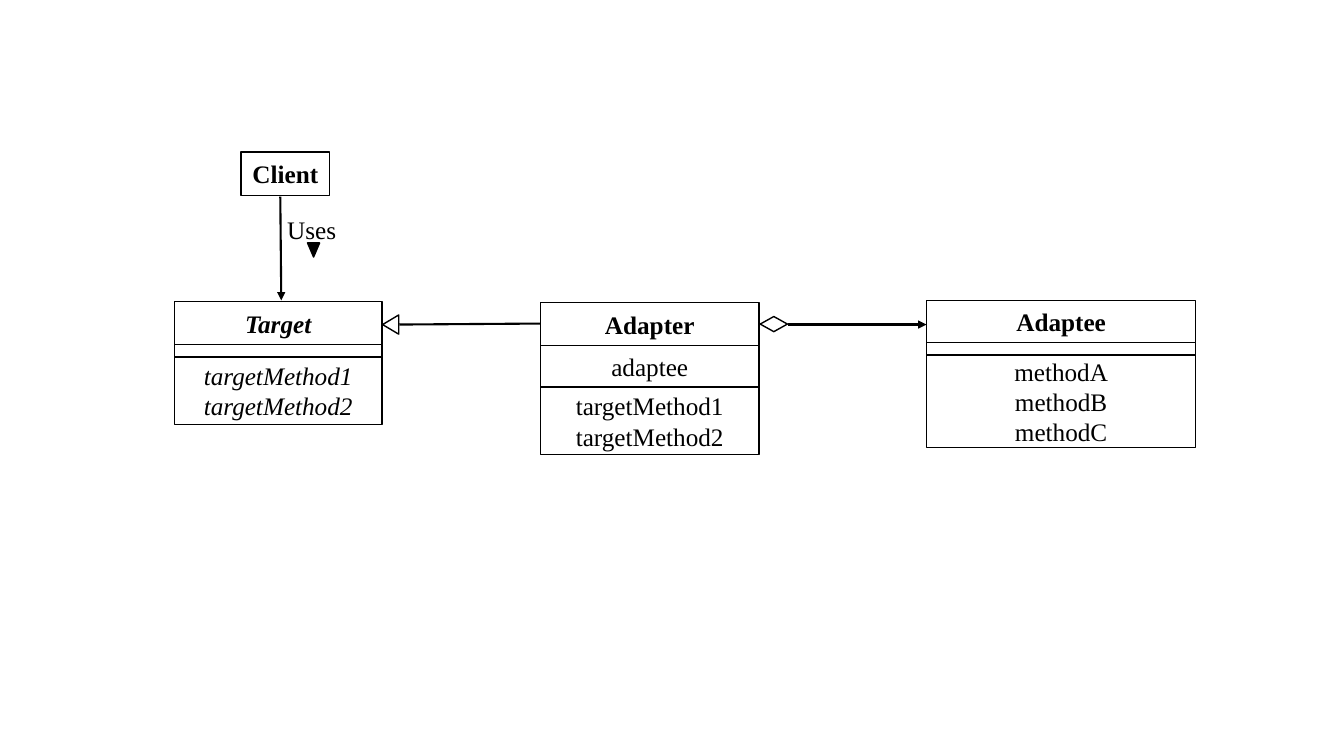
from dataclasses import dataclass
from lxml.etree import SubElement
from pptx import Presentation
from pptx.dml.color import RGBColor as Rgb
from pptx.enum.shapes import MSO_CONNECTOR as Link, MSO_SHAPE as Kind
from pptx.enum.text import MSO_ANCHOR as Anchor, PP_ALIGN as Align
from pptx.oxml.ns import qn
from pptx.util import Inches, Pt

INK = {"black": "000000", "white": "FFFFFF"}
FONT = "Times New Roman"


@dataclass
class Row:
    high: float
    text: str = ""
    bold: bool = False
    slant: bool = False


@dataclass
class Box:
    left: float
    top: float
    wide: float
    rows: list[Row]


@dataclass
class Mark:
    kind: Kind
    left: float
    top: float
    wide: float
    high: float
    turn: int
    fill: str


@dataclass
class Line:
    start: tuple[float, float]
    end: tuple[float, float]
    arrow: bool = False


BOXES = [
    Box(2.39, 1.51, 0.88, [Row(0.43, "Client", bold=True)]),
    Box(1.73, 2.99, 2.06, [
        Row(0.43, "Target", bold=True, slant=True),
        Row(0.12),
        Row(0.67, "targetMethod1\ntargetMethod2", slant=True)]),
    Box(5.36, 3, 2.17, [
        Row(0.43, "Adapter", bold=True),
        Row(0.41, "adaptee"),
        Row(0.67, "targetMethod1\ntargetMethod2")]),
    Box(9.19, 2.98, 2.67, [
        Row(0.42, "Adaptee", bold=True),
        Row(0.12),
        Row(0.92, "methodA\nmethodB\nmethodC")]),
]
MARKS = [
    Mark(Kind.ISOSCELES_TRIANGLE, 3.78, 3.14, 0.19, 0.16, 270, "white"),
    Mark(Kind.ISOSCELES_TRIANGLE, 3.05, 2.41, 0.12, 0.14, 180, "black"),
    Mark(Kind.DIAMOND, 7.6, 3.08, 0.15, 0.27, 90, "white"),
]
LINES = [
    Line((3.96, 3.22), (5.36, 3.21)),
    Line((2.78, 1.95), (2.79, 2.98), arrow=True),
    Line((7.82, 3.22), (9.19, 3.22), arrow=True),
]


def tint(name: str) -> Rgb:
    return Rgb.from_string(INK[name])


def write(shape, text: str, *, bold=False, slant=False,
          align=Align.CENTER, anchor=Anchor.MIDDLE, size=18) -> None:
    frame = shape.text_frame
    frame.word_wrap = True
    frame.vertical_anchor = anchor
    frame.text = text
    for para in frame.paragraphs:
        para.alignment = align
        for run in para.runs:
            font = run.font
            font.name, font.size = FONT, Pt(size)
            font.bold, font.italic = bold, slant
            font.color.rgb = tint("black")


def draw(slide, kind: Kind, left: float, top: float, wide: float,
         high: float, fill: str = "white"):
    shape = slide.shapes.add_shape(
        kind, Inches(left), Inches(top), Inches(wide), Inches(high))
    shape.shadow.inherit = False
    shape.fill.solid()
    shape.fill.fore_color.rgb = tint(fill)
    shape.line.color.rgb = tint("black")
    shape.line.width = Pt(1)
    return shape


def stack(slide, box: Box) -> None:
    top = box.top
    for row in box.rows:
        shape = draw(slide, Kind.RECTANGLE, box.left, top, box.wide, row.high)
        if row.text:
            write(shape, row.text, bold=row.bold, slant=row.slant)
        top += row.high


def join(slide, line: Line) -> None:
    ends = [Inches(num) for num in line.start + line.end]
    wire = slide.shapes.add_connector(Link.STRAIGHT, *ends)
    wire.line.color.rgb = tint("black")
    wire.line.width = Pt(1.5)
    props = wire.element.spPr
    if line.arrow:
        SubElement(props.find(qn("a:ln")), qn("a:tailEnd"), type="triangle")
    SubElement(props, qn("a:effectLst"))


def main() -> None:
    deck = Presentation()
    deck.slide_width, deck.slide_height = Inches(13.33), Inches(7.5)
    slide = deck.slides.add_slide(deck.slide_layouts[6])
    for box in BOXES:
        stack(slide, box)
    for line in LINES:
        join(slide, line)
    for mark in MARKS:
        shape = draw(slide, mark.kind, mark.left, mark.top,
                     mark.wide, mark.high, mark.fill)
        shape.rotation = mark.turn
    label = slide.shapes.add_textbox(
        Inches(2.75), Inches(2.08), Inches(1.13), Inches(0.4))
    write(label, "Uses", align=Align.LEFT, anchor=Anchor.TOP)
    deck.save("out.pptx")


main()
